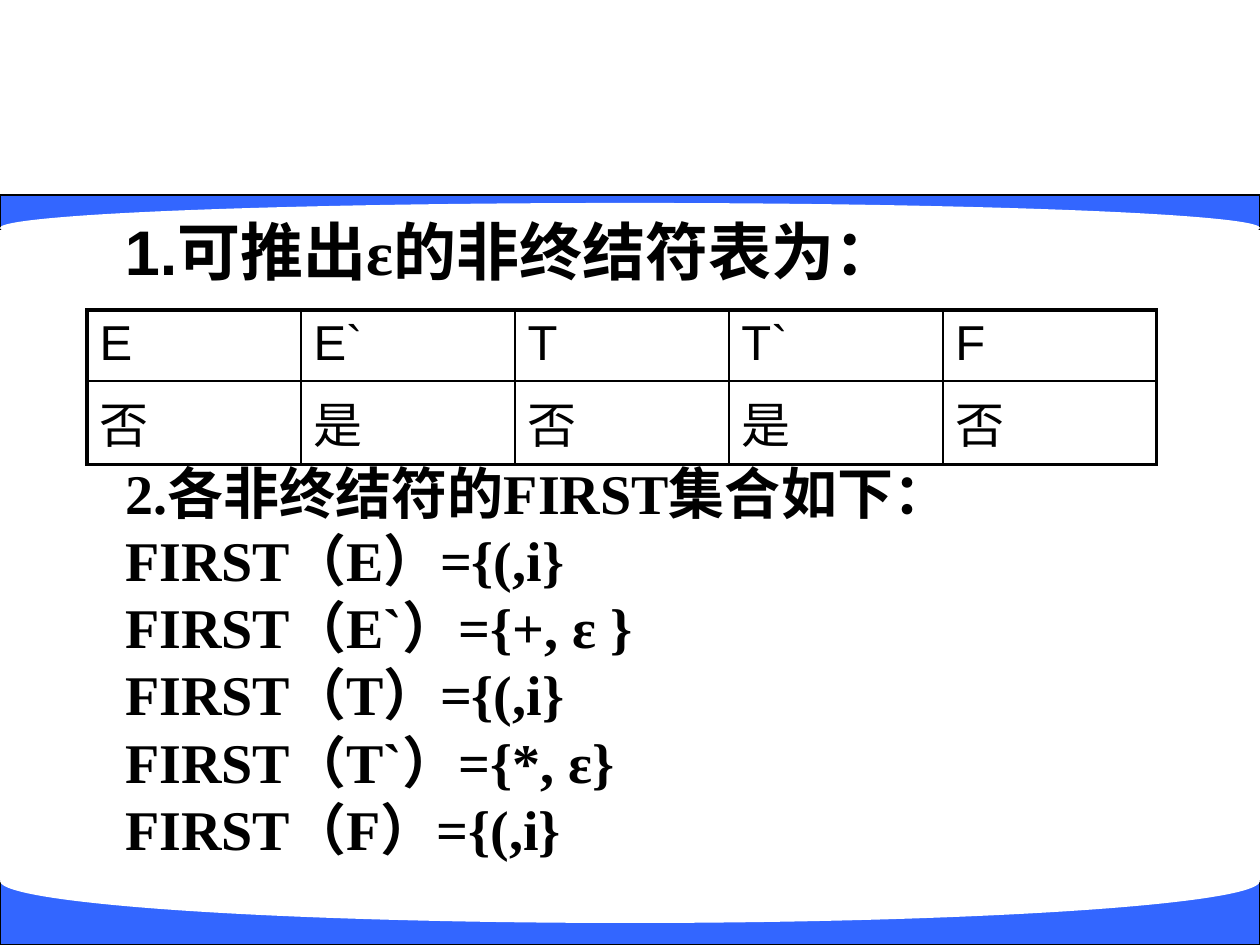
from pptx import Presentation
from pptx.dml.color import RGBColor
from pptx.enum.shapes import MSO_SHAPE
from pptx.enum.text import MSO_ANCHOR, MSO_AUTO_SIZE, PP_ALIGN
from pptx.oxml import parse_xml
from pptx.oxml.ns import nsdecls
from pptx.util import Pt

RECTANGLE, OVAL = MSO_SHAPE.RECTANGLE, MSO_SHAPE.OVAL
MIDDLE, CENTER = MSO_ANCHOR.MIDDLE, PP_ALIGN.CENTER
NO_FIT, GROW = MSO_AUTO_SIZE.NONE, MSO_AUTO_SIZE.SHAPE_TO_FIT_TEXT
PX = 914400 / 126
COLORS = {"band": "3366FF", "paper": "FFFFFF", "ink": "000000"}


def px(*lengths):
    return [round(length * PX) for length in lengths]


def style(span, font, size, bold):
    span.font.name = font
    span.font.size = Pt(size)
    span.font.bold = bold
    span.font.color.rgb = RGBColor.from_string(COLORS["ink"])


deck = Presentation()
deck.slide_width, deck.slide_height = px(1260, 945)
page = deck.slides.add_slide(deck.slide_layouts[5])
title = page.shapes.title

bands = [
    (RECTANGLE, 195, 34, "band"),
    (OVAL, 203, 50, "paper"),
    (RECTANGLE, 881, 64, "band"),
    (OVAL, 839, 84, "paper"),
]
for kind, top, height, color in bands:
    band = page.shapes.add_shape(kind, *px(0, top, 1260, height))
    band.shadow.inherit = False
    band.fill.solid()
    band.fill.fore_color.rgb = RGBColor.from_string(COLORS[color])
    if kind == RECTANGLE:
        band.line.color.rgb = RGBColor.from_string(COLORS["ink"])
        band.line.width = Pt(0.75)
    else:
        band.line.fill.background()
    title.element.addprevious(band.element)

title.left, title.top, title.width, title.height = px(49, 214, 924, 73)
title.text_frame.auto_size = NO_FIT
title.text_frame.vertical_anchor = MIDDLE
para = title.text_frame.paragraphs[0]
para.alignment = CENTER
for text, font in [("1.可推出", "Arial"), ("ε的非终结符表为：", "Times New Roman")]:
    span = para.add_run()
    span.text = text
    style(span, font, 36, True)

rows = [["E", "E`", "T", "T`", "F"], ["否", "是", "否", "是", "否"]]
last_row, last_column = len(rows) - 1, len(rows[0]) - 1
table = page.shapes.add_table(len(rows), len(rows[0]), *px(87, 310, 1070, 142)).table
table.first_row = False
table.horz_banding = False
for r, row in enumerate(rows):
    for c, text in enumerate(row):
        cell = table.cell(r, c)
        cell.text = text
        style(cell.text_frame.paragraphs[0].runs[0], "Arial", 28, False)
        outer_edges = {"L": c == 0, "R": c == last_column, "T": r == 0, "B": r == last_row}
        properties = cell._tc.get_or_add_tcPr()
        for side, outer in outer_edges.items():
            width = Pt(2.25 if outer else 1)
            properties.append(parse_xml(
                f'<a:ln{side} {nsdecls("a")} w="{width}"><a:solidFill>'
                f'<a:srgbClr val="{COLORS["ink"]}"/></a:solidFill></a:ln{side}>'))
        cell.fill.background()

box = page.shapes.add_textbox(*px(113, 452, 859, 420))
box.text_frame.word_wrap = False
box.text_frame.auto_size = GROW
box.text_frame.text = "\n".join([
    "2.各非终结符的FIRST集合如下：",
    "FIRST（E）={(,i}",
    "FIRST（E`）={+, ε }",
    "FIRST（T）={(,i}",
    "FIRST（T`）={*, ε}",
    "FIRST（F）={(,i}",
])
for para in box.text_frame.paragraphs:
    style(para.runs[0], "Times New Roman", 32, True)

deck.save("out.pptx")
